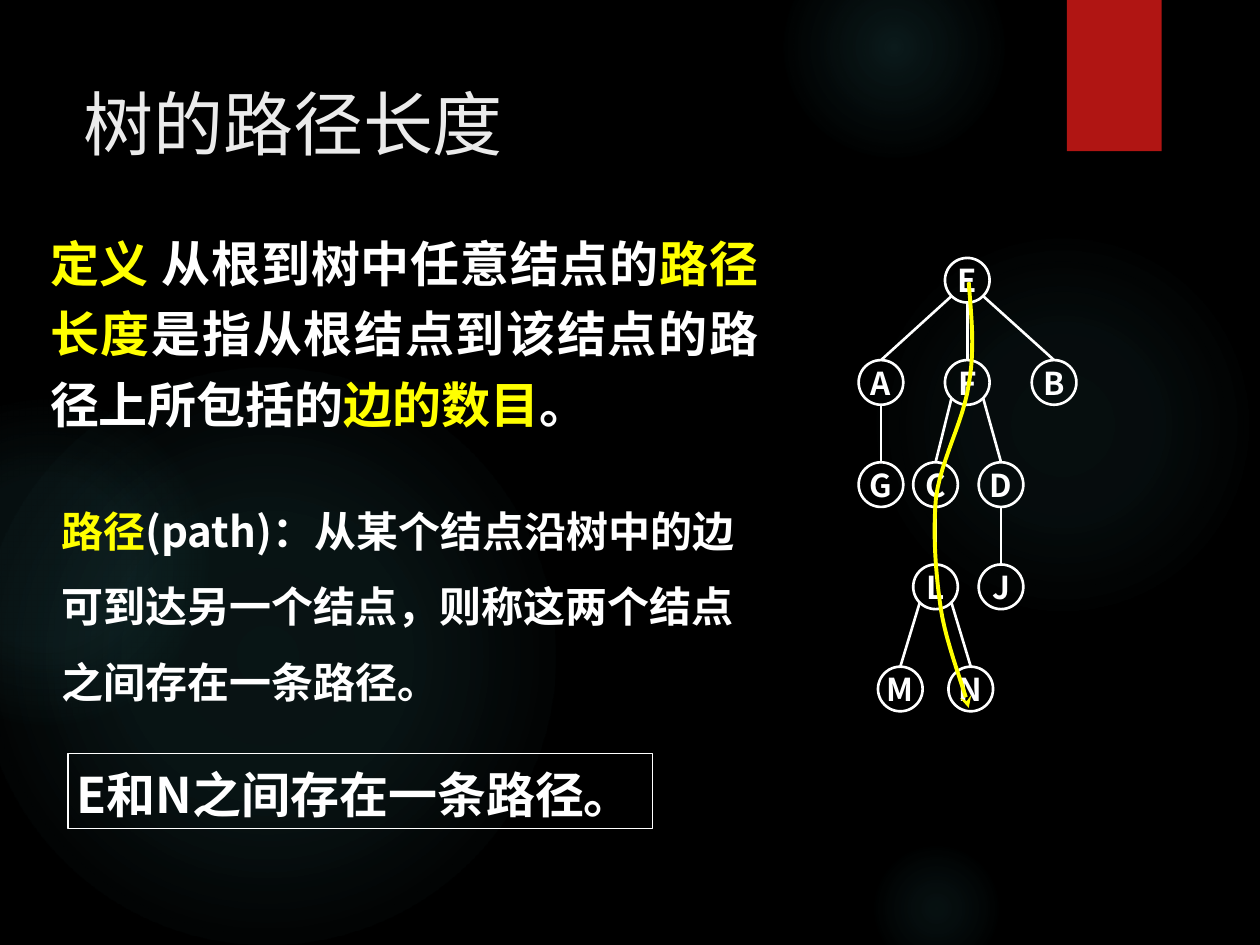
from lxml import etree
from pptx import Presentation
from pptx.dml.color import RGBColor
from pptx.enum.shapes import MSO_CONNECTOR, MSO_SHAPE
from pptx.enum.text import MSO_ANCHOR, MSO_AUTO_SIZE, PP_ALIGN
from pptx.oxml import parse_xml
from pptx.oxml.ns import nsdecls, qn
from pptx.util import Cm, Pt

OVAL, RECT = MSO_SHAPE.OVAL, MSO_SHAPE.RECTANGLE
LINE = MSO_CONNECTOR.STRAIGHT
TOP, MIDDLE = MSO_ANCHOR.TOP, MSO_ANCHOR.MIDDLE
LEFT, CENTER, JUSTIFY = PP_ALIGN.LEFT, PP_ALIGN.CENTER, PP_ALIGN.JUSTIFY
FIXED = MSO_AUTO_SIZE.NONE

BLACK = RGBColor(0x00, 0x00, 0x00)
WHITE = RGBColor(0xFF, 0xFF, 0xFF)
YELLOW = RGBColor(0xFF, 0xFF, 0x00)
RED = RGBColor(0xB0, 0x15, 0x13)
PALE = RGBColor(0xEB, 0xEB, 0xEB)
TEAL = RGBColor(0x50, 0xB9, 0xC1)
FONT = "Noto Sans CJK SC"

TIGHT = {"margin_left": Cm(0.18), "margin_right": Cm(0.18),
         "margin_top": Cm(0.1), "margin_bottom": Cm(0.1)}


def write(shape, runs, size, bold=True, para={}, **frame):
    """Fill a shape with one paragraph of (text, colour) runs."""
    box = shape.text_frame
    for name, value in {"word_wrap": True, "auto_size": FIXED,
                        "vertical_anchor": TOP, **frame}.items():
        setattr(box, name, value)
    line = box.paragraphs[0]
    for name, value in {"alignment": LEFT, **para}.items():
        setattr(line, name, value)
    for text, color in runs:
        run = line.add_run()
        run.text = text
        for name, value in {"size": Pt(size), "bold": bold, "name": FONT}.items():
            setattr(run.font, name, value)
        run.font.color.rgb = color
        east = etree.SubElement(run.font._element, qn("a:ea"))
        east.set("typeface", FONT)


def draw(kind, left, top, width, height, color=None, weight=0):
    """Add a preset shape, unfilled, with an outline if a weight is given."""
    shape = slide.shapes.add_shape(kind, Cm(left), Cm(top), Cm(width), Cm(height))
    shape.shadow.inherit = False
    shape.fill.background()
    if weight:
        shape.line.color.rgb = color
        shape.line.width = Pt(weight)
    else:
        shape.line.fill.background()
    return shape


deck = Presentation()
deck.slide_width, deck.slide_height = Cm(25.4), Cm(19.05)
slide = deck.slides.add_slide(deck.slide_layouts[5])
slide.background.fill.solid()
slide.background.fill.fore_color.rgb = BLACK

# Glows: left, top, size, then (position, opacity) stops in percent
glows = [
    (17.5, 4.65, 7.82, [(0, 7), (36, 6), (69, 0)]),
    (15.8, -1.27, 4.45, [(0, 14), (36, 7), (73, 0)]),
    (17.5, 16.94, 2.74, [(0, 9), (36, 5), (66, 0)]),
    (-0.43, 7.42, 11.63, [(0, 11), (36, 10), (75, 0)]),
    (-2.34, 8.05, 6.55, [(0, 8), (36, 8), (72, 0)]),
]
for left, top, size, stops in glows:
    props = draw(OVAL, left, top, size, size)._element.spPr
    marks = "".join(
        f'<a:gs pos="{pos * 1000}"><a:srgbClr val="{TEAL}">'
        f'<a:alpha val="{alpha * 1000}"/></a:srgbClr></a:gs>'
        for pos, alpha in stops)
    fade = parse_xml(
        f'<a:gradFill {nsdecls("a")}><a:gsLst>{marks}</a:gsLst><a:path path="circle">'
        '<a:fillToRect l="50000" t="50000" r="50000" b="50000"/></a:path></a:gradFill>')
    props.replace(props.find(qn("a:noFill")), fade)

flag = draw(RECT, 21.51, 0, 1.91, 3.05)
flag.fill.solid()
flag.fill.fore_color.rgb = RED

# Title and text
title = slide.shapes.title
title.left, title.top, title.width, title.height = Cm(1.5), Cm(1.52), Cm(19.58), Cm(2.92)
write(title, [("树的路径长度", PALE)], 40, bold=False, **TIGHT)

term = slide.shapes.add_textbox(Cm(0.76), Cm(4.34), Cm(14.78), Cm(5.99))
write(term, [("定义 ", YELLOW), ("从根到树中任意结点的", WHITE), ("路径长度", YELLOW),
             ("是指从根结点到该结点的路径上所包括的", WHITE),
             ("边的数目", YELLOW), ("。", WHITE)],
      28, para={"alignment": JUSTIFY, "line_spacing": 1.2})

note = slide.shapes.add_textbox(Cm(0.99), Cm(9.55), Cm(14.71), Cm(4.88))
write(note, [("路径", YELLOW),
             ("(path)：从某个结点沿树中的边可到达另一个结点，"
              "则称这两个结点之间存在一条路径。", WHITE)],
      24, para={"line_spacing": 1.5})

claim = draw(RECT, 1.37, 15.19, 11.79, 1.52, WHITE, 0.75)
write(claim, [("E和N之间存在一条路径。", WHITE)], 28,
      para={"line_spacing": 1.1}, word_wrap=False, **TIGHT)

# Tree: centre and depth of each node
nodes = {"E": (19.5, 0), "A": (17.76, 1), "F": (19.5, 1), "B": (21.25, 1),
         "G": (17.76, 2), "C": (18.86, 2), "D": (20.18, 2),
         "L": (18.86, 3), "J": (20.18, 3), "M": (18.15, 4), "N": (19.57, 4)}
FIRST, STEP, RADIUS, SLANT = 5.65, 2.06, 0.45, 0.32
for name, (mid, depth) in nodes.items():
    node = draw(OVAL, mid - RADIUS, FIRST + depth * STEP - RADIUS,
                2 * RADIUS, 2 * RADIUS, WHITE, 1.5)
    write(node, [(name, WHITE)], 18, para={"alignment": CENTER},
          word_wrap=False, vertical_anchor=MIDDLE, **TIGHT)

# An edge leaves its parent at lower left (-1), bottom (0) or lower right (1)
edges = [("E", "A", -1), ("E", "F", 0), ("E", "B", 1), ("A", "G", 0), ("F", "C", -1),
         ("F", "D", 1), ("C", "L", 0), ("D", "J", 0), ("L", "M", -1), ("L", "N", 1)]
for upper, lower, side in edges:
    mid, depth = nodes[upper]
    end, level = nodes[lower]
    drop = SLANT if side else RADIUS
    edge = slide.shapes.add_connector(
        LINE, Cm(mid + side * SLANT), Cm(FIRST + depth * STEP + drop),
        Cm(end), Cm(FIRST + level * STEP - RADIUS))
    edge.line.color.rgb = WHITE
    edge.line.width = Pt(1.5)
    etree.SubElement(edge._element.spPr, qn("a:effectLst"))

# Path from E to N: Bezier segments, each sharing its end with the next
knots = [(19.53, 5.69), (19.58, 6.35), (19.66, 7.04), (19.53, 7.75),
         (19.43, 8.48), (18.97, 9.27), (18.87, 10.03),
         (18.8, 10.8), (18.87, 11.61), (18.97, 12.29),
         (19.08, 13.0), (19.46, 13.94), (19.53, 14.27)]
PARTS = 12
dots = []
for i in range(0, len(knots) - 1, 3):
    for j in range(1, PARTS + 1):
        t = j / PARTS
        shares = ((1 - t) ** 3, 3 * t * (1 - t) ** 2, 3 * t ** 2 * (1 - t), t ** 3)
        dots.append(tuple(
            Cm(sum(share * knot[axis] for share, knot in zip(shares, knots[i:i + 4])))
            for axis in (0, 1)))
pen = slide.shapes.build_freeform(Cm(knots[0][0]), Cm(knots[0][1]))
pen.add_line_segments(dots, close=False)
route = pen.convert_to_shape()
route.shadow.inherit = False
route.fill.background()
route.line.color.rgb = YELLOW
route.line.width = Pt(2.25)
etree.SubElement(route.line._get_or_add_ln(), qn("a:tailEnd")).set("type", "stealth")

deck.save("out.pptx")
